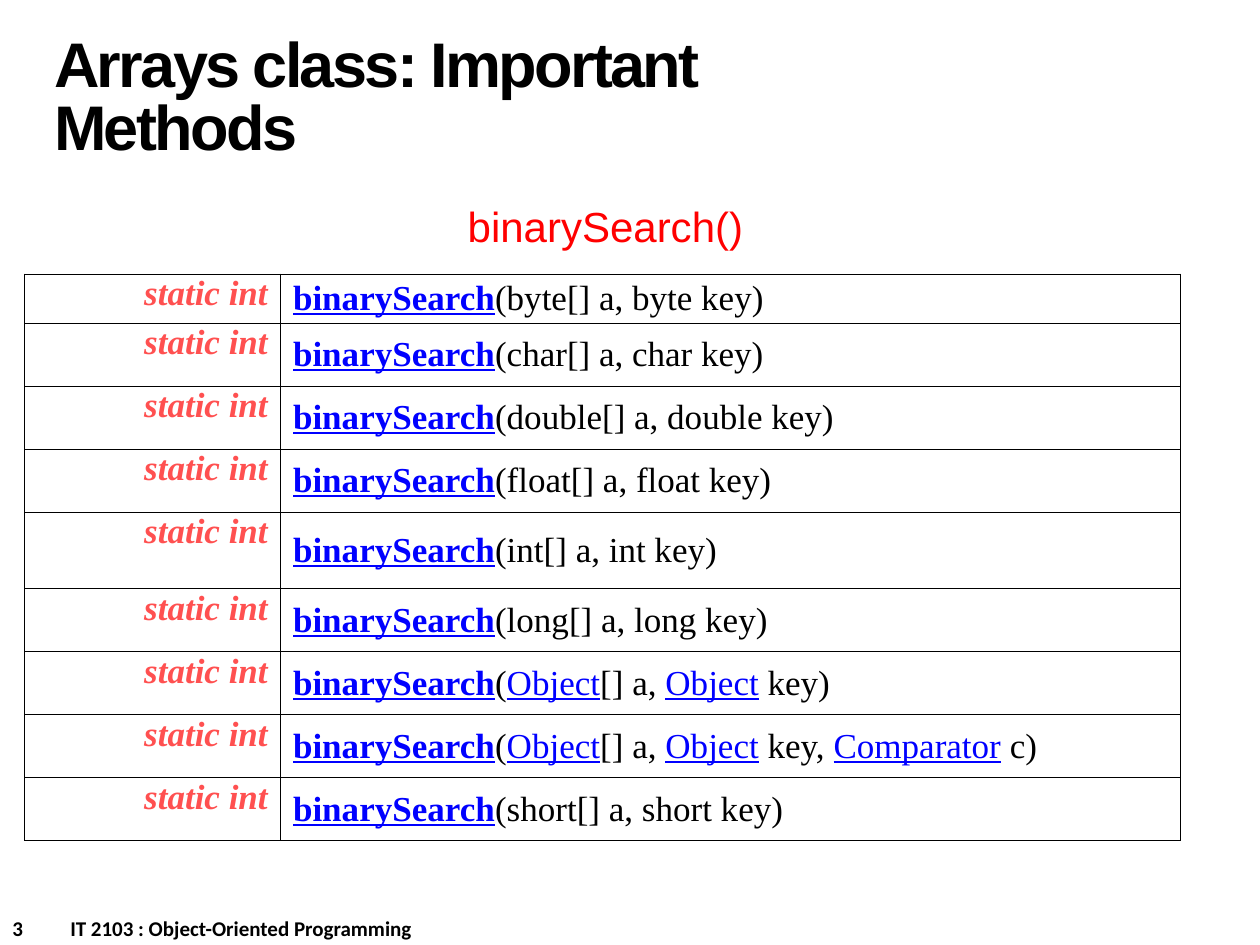
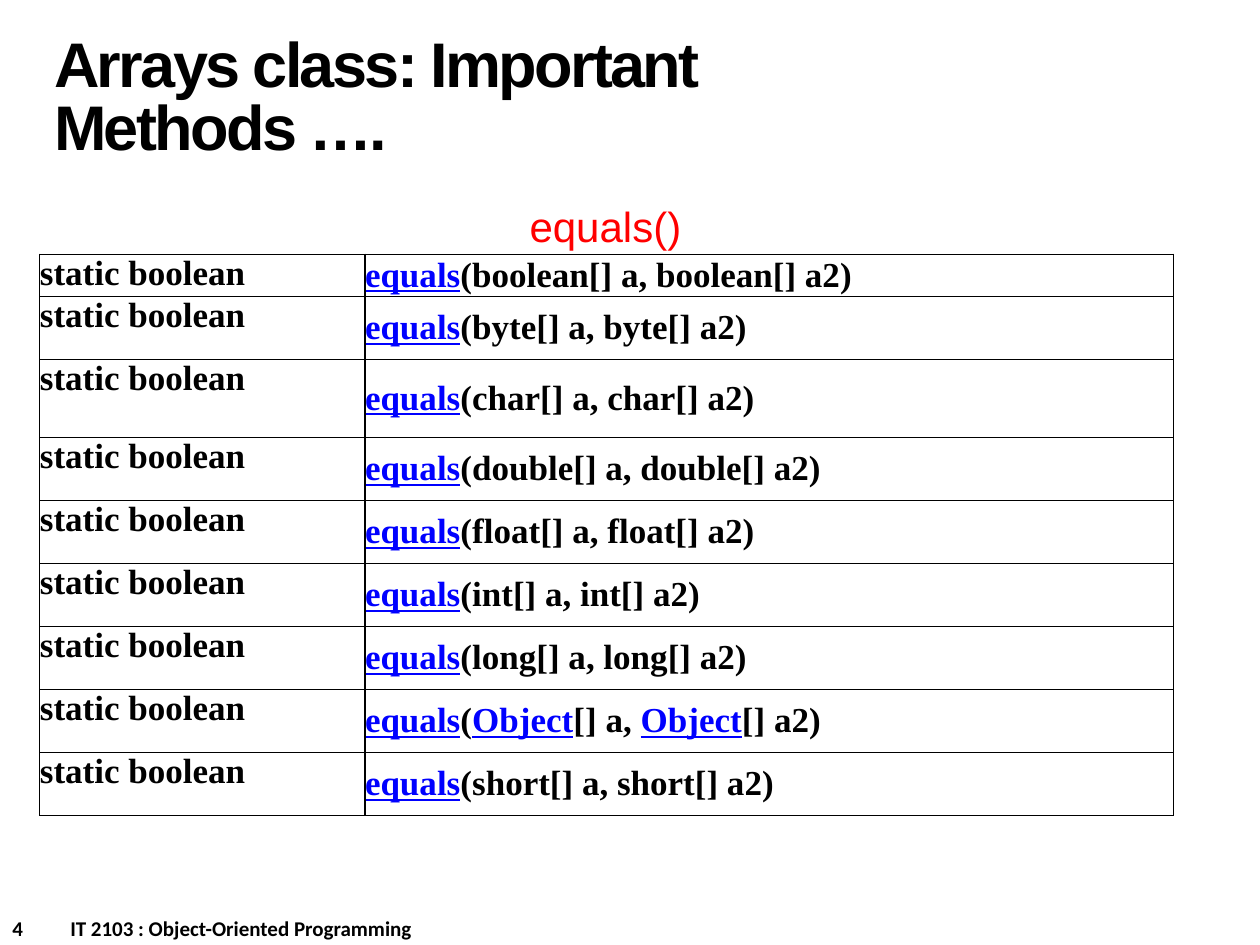
"""Build two slides listing overloads of important methods of the Arrays class."""
from dataclasses import dataclass

from lxml import etree
from pptx import Presentation
from pptx.dml.color import RGBColor
from pptx.enum.text import MSO_ANCHOR, PP_ALIGN
from pptx.oxml.ns import qn
from pptx.util import Pt

LEFT, CENTER, RIGHT = PP_ALIGN.LEFT, PP_ALIGN.CENTER, PP_ALIGN.RIGHT
TOP, MIDDLE = MSO_ANCHOR.TOP, MSO_ANCHOR.MIDDLE
BLACK, WHITE, RED, CORAL, LINK_BLUE = "000000", "FFFFFF", "FF0000", "FF5050", "0000FF"
COURSE = "IT 2103 : Object-Oriented Programming"
COURSE_TAB = 33.1
BORDER_WIDTH = 0.75
ROW_HEIGHT = 36


@dataclass(frozen=True)
class TextStyle:
    font: str
    size: float
    color: str = BLACK
    bold: bool = False
    italic: bool = False
    align: PP_ALIGN = LEFT


@dataclass(frozen=True)
class Box:
    left: float
    top: float
    width: float
    height: float


@dataclass(frozen=True)
class MethodSlide:
    number: int
    title: str
    caption: str
    return_type: str
    return_style: TextStyle
    signature_style: TextStyle
    method: str
    signatures: list[str]
    left: float
    top: float
    columns: tuple[float, float]
    row_heights: dict[int, float]
    side_margin: float


TITLE_STYLE = TextStyle("Arial", 36, bold=True)
CAPTION_STYLE = TextStyle("Arial", 24, RED, align=CENTER)
FOOTER_STYLE = TextStyle("Calibri", 12, bold=True)
CODE_STYLE = TextStyle("Times New Roman", 20)
BOLD_CODE_STYLE = TextStyle("Times New Roman", 20, bold=True)
RETURN_STYLE = TextStyle("Times New Roman", 20, CORAL, True, True, RIGHT)

TITLE_BOX = Box(23.8, 12.2, 498.2, 90)
CAPTION_BOX = Box(14.4, 111.2, 663.1, 36)
FOOTER_BOX = Box(0, 519.4, 360, 21.6)

SEARCH_TYPES = ["byte", "char", "double", "float", "int", "long", "|Object|"]
EQUALS_TYPES = ["boolean", *SEARCH_TYPES, "short"]

SLIDES = [
    MethodSlide(
        3, "Arrays class: Important Methods", "binarySearch()",
        "static int", RETURN_STYLE, CODE_STYLE, "binarySearch",
        [f"({kind}[] a, {kind} key)" for kind in SEARCH_TYPES]
        + ["(|Object|[] a, |Object| key, |Comparator| c)", "(short[] a, short key)"],
        14.1, 156.7, (146.2, 514.2), {0: 28, 4: 43.8}, 7.2,
    ),
    MethodSlide(
        4, "Arrays class: Important Methods ….", "equals()",
        "static boolean", BOLD_CODE_STYLE, BOLD_CODE_STYLE, "equals",
        [f"({kind}[] a, {kind}[] a2)" for kind in EQUALS_TYPES],
        22.8, 145.3, (185.8, 462), {0: 0, 2: 44.6}, 0,
    ),
]


def rgb(color: str) -> RGBColor:
    """Turn a hex string into a colour."""
    return RGBColor.from_string(color)


def style_paragraph(paragraph, style: TextStyle) -> None:
    """Apply a text style to a whole paragraph."""
    paragraph.alignment = style.align
    font = paragraph.font
    font.name, font.size = style.font, Pt(style.size)
    font.bold, font.italic = style.bold, style.italic
    font.color.rgb = rgb(style.color)


def add_text(slide, box: Box, text: str, style: TextStyle, anchor=TOP):
    """Add a wrapped one-paragraph text box and return its paragraph."""
    frame = slide.shapes.add_textbox(
        Pt(box.left), Pt(box.top), Pt(box.width), Pt(box.height)
    ).text_frame
    frame.word_wrap = True
    frame.vertical_anchor = anchor
    paragraph = frame.paragraphs[0]
    paragraph.add_run().text = text
    style_paragraph(paragraph, style)
    return paragraph


def add_title(slide, title: str) -> None:
    """Add the tightly spaced slide title."""
    paragraph = add_text(slide, TITLE_BOX, title, TITLE_STYLE, MIDDLE)
    paragraph.line_spacing = Pt(36)
    paragraph.runs[0].font._element.set("spc", "-150")


def add_footer(slide, number: int) -> None:
    """Add the slide number and the course name, set apart by a tab stop."""
    paragraph = add_text(slide, FOOTER_BOX, f"{number}\t{COURSE}", FOOTER_STYLE)
    tabs = etree.Element(qn("a:tabLst"))
    etree.SubElement(tabs, qn("a:tab"), pos=str(Pt(COURSE_TAB)), algn="l")
    paragraph._p.get_or_add_pPr().insert(0, tabs)


def format_cell(cell, side_margin: float, anchor) -> None:
    """Give a cell its fill, margins, anchor and thin borders."""
    cell.fill.solid()
    cell.fill.fore_color.rgb = rgb(WHITE)
    cell.margin_left = cell.margin_right = Pt(side_margin)
    cell.margin_top = cell.margin_bottom = Pt(0)
    cell.vertical_anchor = anchor
    properties = cell._tc.get_or_add_tcPr()
    for position, side in enumerate(("a:lnL", "a:lnR", "a:lnT", "a:lnB")):
        line = etree.Element(qn(side), w=str(Pt(BORDER_WIDTH)))
        solid = etree.SubElement(line, qn("a:solidFill"))
        etree.SubElement(solid, qn("a:srgbClr"), val=BLACK)
        properties.insert(position, line)


def write_signature(paragraph, method: str, signature: str, style: TextStyle) -> None:
    """Write a method name and its signature, with link-styled type names."""
    style_paragraph(paragraph, style)
    for index, part in enumerate([method, *signature.split("|")]):
        run = paragraph.add_run()
        run.text = part
        if index % 2 == 0:
            run.font.underline = True
            run.font.color.rgb = rgb(LINK_BLUE)
    paragraph.runs[0].font.bold = True


def add_method_table(slide, content: MethodSlide) -> None:
    """Add the table of return types and signatures."""
    count = len(content.signatures)
    heights = [content.row_heights.get(row, ROW_HEIGHT) for row in range(count)]
    table = slide.shapes.add_table(
        count, 2, Pt(content.left), Pt(content.top),
        Pt(sum(content.columns)), Pt(sum(heights)),
    ).table
    table.first_row = table.horz_banding = False
    for column, width in zip(table.columns, content.columns):
        column.width = Pt(width)
    for row, height, signature in zip(table.rows, heights, content.signatures):
        row.height = Pt(height)
        return_cell, signature_cell = row.cells
        format_cell(return_cell, content.side_margin, TOP)
        format_cell(signature_cell, content.side_margin, MIDDLE)
        return_paragraph = return_cell.text_frame.paragraphs[0]
        return_paragraph.add_run().text = content.return_type
        style_paragraph(return_paragraph, content.return_style)
        write_signature(
            signature_cell.text_frame.paragraphs[0],
            content.method, signature, content.signature_style,
        )


def main() -> None:
    """Build and save the presentation."""
    presentation = Presentation()
    presentation.slide_width, presentation.slide_height = Pt(720), Pt(540)
    for content in SLIDES:
        slide = presentation.slides.add_slide(presentation.slide_layouts[6])
        add_footer(slide, content.number)
        add_title(slide, content.title)
        add_method_table(slide, content)
        add_text(slide, CAPTION_BOX, content.caption, CAPTION_STYLE)
    presentation.save("out.pptx")


if __name__ == "__main__":
    main()
